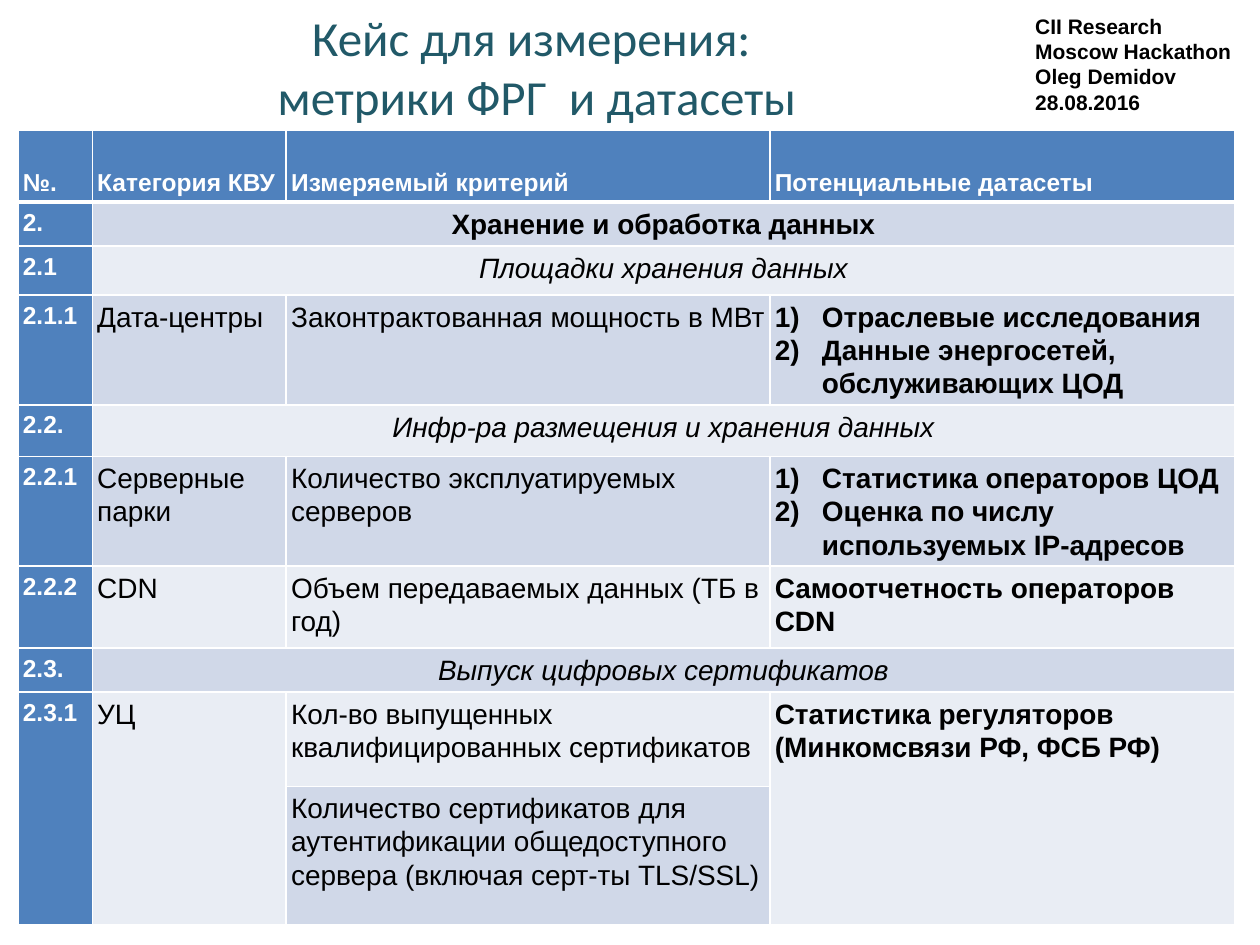
from dataclasses import dataclass
from lxml.etree import SubElement as Sub
from pptx import Presentation as Deck
from pptx.dml.color import RGBColor as Rgb
from pptx.enum.text import MSO_ANCHOR as Anchor, PP_ALIGN as Align
from pptx.oxml.ns import qn
from pptx.util import Cm, Pt

BLUE, WHITE, BLACK = "4F81BD", "FFFFFF", "000000"
BANDS = "E9EDF4", "D0D8E8"
WIDTHS = 1.5, 3.91, 9.75, 9.37
HEAD = "№.", "Категория КВУ", "Измеряемый критерий", "Потенциальные датасеты"


@dataclass
class Row:
    """One table row; a lone text spans all columns after the number."""
    tall: float
    num: str
    texts: tuple
    bold: bool = False


ROWS = [
    Row(0.89, "2.", ("Хранение и обработка данных",), True),
    Row(0.99, "2.1", ("Площадки хранения данных",)),
    Row(2.18, "2.1.1", ("Дата-центры", "Законтрактованная мощность в МВт",
                        ["Отраслевые исследования",
                         "Данные энергосетей, обслуживающих ЦОД"])),
    Row(1.04, "2.2.", ("Инфр-ра размещения и хранения данных",)),
    Row(2.18, "2.2.1", ("Серверные парки", "Количество эксплуатируемых серверов",
                        ["Статистика операторов ЦОД",
                         "Оценка по числу используемых IP-адресов"])),
    Row(1.65, "2.2.2", ("CDN", "Объем передаваемых данных (ТБ в год)",
                        "Самоотчетность операторов CDN")),
    Row(0.89, "2.3.", ("Выпуск цифровых сертификатов",)),
    Row(1.9, "2.3.1", ("УЦ", "Кол-во выпущенных квалифицированных сертификатов",
                       "Статистика регуляторов (Минкомсвязи РФ, ФСБ РФ)")),
    Row(2.79, "", ("", "Количество сертификатов для аутентификации "
                   "общедоступного сервера (включая серт-ты TLS/SSL)", "")),
]


def tint(code: str) -> Rgb:
    """Turn a hex string into a colour."""
    return Rgb.from_string(code)


def put(frame, text, size=16, color=BLACK, face="Arial", bold=False,
        ital=False, align=Align.LEFT, gap=None, count=False) -> None:
    """Write one line or a list of lines in one format."""
    lines = [text] if isinstance(text, str) else text
    for n, line in enumerate(lines):
        par = frame.add_paragraph() if n else frame.paragraphs[0]
        par.alignment, par.line_spacing = align, gap
        run = par.add_run()
        run.text = line
        font = run.font
        font.size, font.name, font.bold, font.italic = Pt(size), face, bold, ital
        font.color.rgb = tint(color)
        if count:
            props = par._p.get_or_add_pPr()
            props.set("marL", str(Cm(0.95)))
            props.set("indent", str(-Cm(0.95)))
            Sub(props, qn("a:buFont"), typeface="+mj-lt")
            Sub(props, qn("a:buAutoNum"), type="arabicParenR")


def dress(cell, row: int, col: int) -> None:
    """Give a cell its insets, white borders and fill."""
    cell.margin_left = cell.margin_right = Cm(0.1)
    cell.margin_top = cell.margin_bottom = Cm(0.1)
    cell.vertical_anchor = Anchor.TOP if row else Anchor.BOTTOM
    for side in "LRTB":
        thick = (row, side) in ((0, "B"), (1, "T"))
        line = Sub(cell._tc.get_or_add_tcPr(), qn(f"a:ln{side}"),
                   w=str(Pt(3 if thick else 1)))
        Sub(Sub(line, qn("a:solidFill")), qn("a:srgbClr"), val=WHITE)
    cell.fill.solid()
    cell.fill.fore_color.rgb = tint(BANDS[row % 2] if row and col else BLUE)


def fill(grid, at: int, row: Row) -> None:
    """Write the texts of one body row."""
    if row.num:
        put(grid.cell(at, 0).text_frame, row.num, size=14, color=WHITE,
            bold=True, gap=1.07)
    if len(row.texts) == 1:
        grid.cell(at, 1).merge(grid.cell(at, 3))
        put(grid.cell(at, 1).text_frame, row.texts[0], bold=row.bold,
            ital=not row.bold, align=Align.CENTER, gap=1.07)
        return
    for col, text in enumerate(row.texts, 1):
        if text:
            put(grid.cell(at, col).text_frame, text, bold=col == 3, gap=1.07,
                count=isinstance(text, list))


def chart(slide) -> None:
    """Build the table of metrics and datasets."""
    talls = [1.45] + [row.tall for row in ROWS]
    grid = slide.shapes.add_table(len(talls), len(WIDTHS), Cm(0.36), Cm(2.62),
                                  Cm(sum(WIDTHS)), Cm(sum(talls))).table
    grid.first_row = grid.horz_banding = False
    for col, wide in enumerate(WIDTHS):
        grid.columns[col].width = Cm(wide)
    for at, tall in enumerate(talls):
        grid.rows[at].height = Cm(tall)
        for col in range(len(WIDTHS)):
            dress(grid.cell(at, col), at, col)
    for col, text in enumerate(HEAD):
        put(grid.cell(0, col).text_frame, text, size=14, color=WHITE,
            bold=True, gap=1.07)
    for at, row in enumerate(ROWS, 1):
        fill(grid, at, row)
    last = len(ROWS)
    for col in (0, 1, 3):
        grid.cell(last - 1, col).merge(grid.cell(last, col))


def main() -> None:
    """Build and save the slide."""
    deck = Deck()
    deck.slide_width, deck.slide_height = Cm(25.4), Cm(19.05)
    slide = deck.slides.add_slide(deck.slide_layouts[5])
    title = slide.shapes.title
    title.left, title.top, title.width, title.height = (
        Cm(1.32), Cm(0), Cm(19), Cm(2.67))
    title.text_frame.vertical_anchor = Anchor.MIDDLE
    put(title.text_frame, ["Кейс для измерения: ", "метрики ФРГ  и датасеты"],
        size=28, color="215968", face="Calibri", align=Align.CENTER)
    chart(slide)
    note = slide.shapes.add_textbox(Cm(20.62), Cm(-0.08), Cm(5.23), Cm(2.74))
    note.text_frame.word_wrap = False
    note.text_frame.vertical_anchor = Anchor.MIDDLE
    put(note.text_frame, ["CII Research", "Moscow Hackathon", "Oleg Demidov",
                          "28.08.2016"], size=12, bold=True)
    deck.save("out.pptx")


if __name__ == "__main__":
    main()
